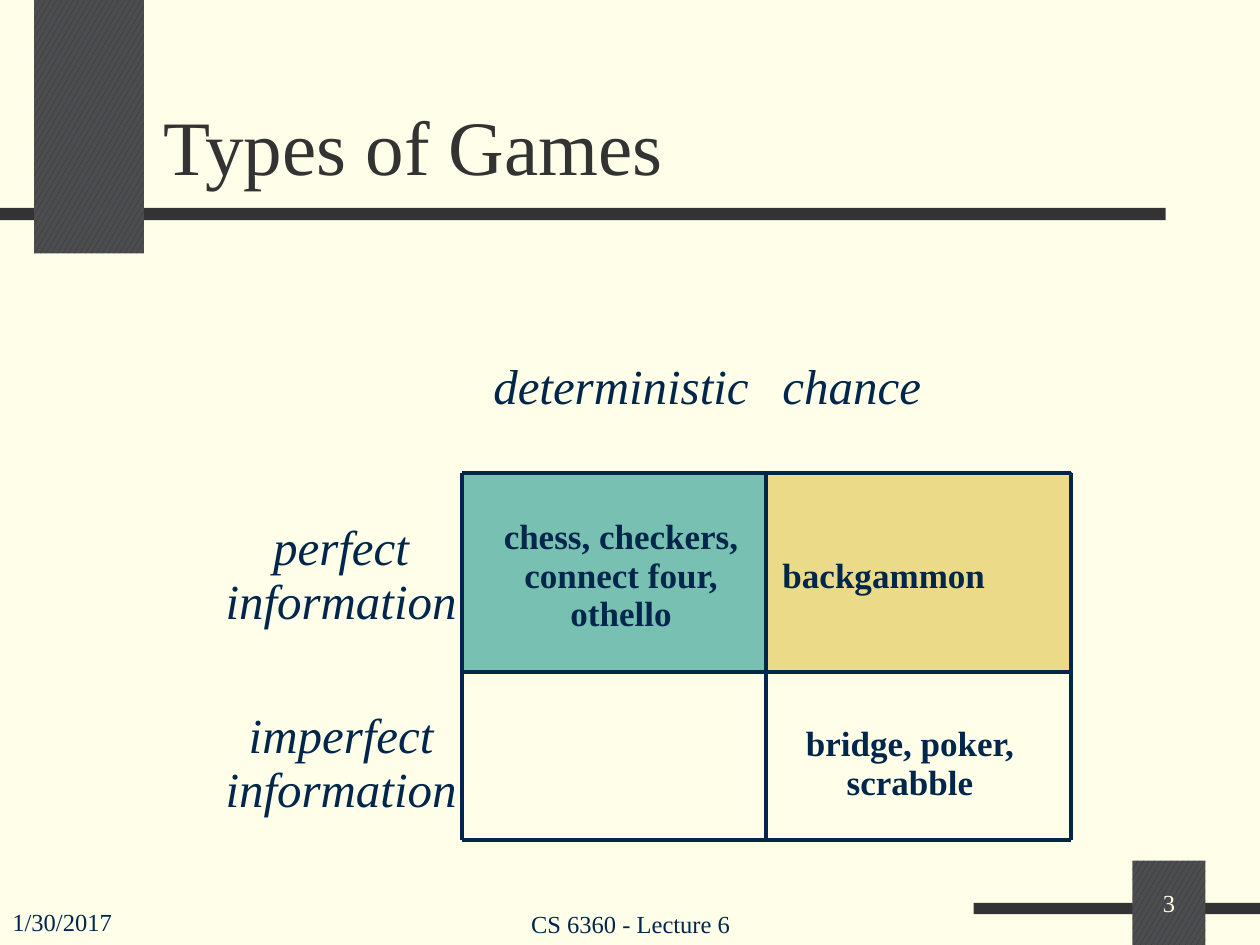
import pptx
import pptx.dml.color
import pptx.enum.dml
import pptx.enum.shapes
import pptx.enum.text
import pptx.oxml.ns
import pptx.util
from pptx.util import Cm

FONT = "Times New Roman"
CREAM, CHARCOAL, NAVY = "FFFFE9", "333333", "00264C"
GRID_X = (9.32, 15.45, 21.59)
GRID_Y = (9.53, 13.55, 16.93)
NO_STYLE_NO_GRID = "{2D5ABB26-0587-4C30-8999-92F81FD0307C}"
ALIGN = pptx.enum.text.PP_ALIGN
ANCHOR = pptx.enum.text.MSO_ANCHOR


def color(value):
    return pptx.dml.color.RGBColor.from_string(value)


def write_text(frame, text, size=14, fill=NAVY, align=ALIGN.LEFT, bold=False, italic=False):
    paragraph = frame.paragraphs[0]
    paragraph.alignment = align
    run = paragraph.add_run()
    run.text = text
    run.font.name = FONT
    run.font.size = pptx.util.Pt(size)
    run.font.color.rgb = color(fill)
    run.font.bold = bold
    run.font.italic = italic


def add_text_box(slide, left, top, width, height, text, **text_format):
    box = slide.shapes.add_textbox(Cm(left), Cm(top), Cm(width), Cm(height))
    box.text_frame.word_wrap = True
    box.text_frame.vertical_anchor = ANCHOR.BOTTOM
    write_text(box.text_frame, text, **text_format)


def add_rectangle(slide, left, top, width, height, fill, outline=None):
    shape = slide.shapes.add_shape(
        pptx.enum.shapes.MSO_SHAPE.RECTANGLE, Cm(left), Cm(top), Cm(width), Cm(height))
    shape.shadow.inherit = False
    shape.fill.solid()
    shape.fill.fore_color.rgb = color(fill)
    if outline:
        shape.line.color.rgb = color(outline)
        shape.line.width = pptx.util.Pt(0.75)
    else:
        shape.line.fill.background()
    return shape


def add_textured_block(slide, left, top, width, height):
    shape = add_rectangle(slide, left, top, width, height, CHARCOAL)
    shape.fill.patterned()
    shape.fill.pattern = pptx.enum.dml.MSO_PATTERN.LARGE_CONFETTI
    shape.fill.fore_color.rgb = color("262D4C")
    shape.fill.back_color.rgb = color("4D4D4D")
    return shape


def add_line(slide, x1, y1, x2, y2):
    line = slide.shapes.add_connector(
        pptx.enum.shapes.MSO_CONNECTOR.STRAIGHT, Cm(x1), Cm(y1), Cm(x2), Cm(y2))
    line.line.color.rgb = color(NAVY)
    line.line.width = pptx.util.Pt(2.25)
    properties = line._element.spPr
    properties.append(properties.makeelement(pptx.oxml.ns.qn("a:effectLst"), {}))


def add_games_table(slide):
    heading = {"size": 28, "italic": True}
    games = {"size": 20, "bold": True}
    centered = {"align": ALIGN.CENTER}
    rows = [
        [None, ("deterministic", heading | centered), ("chance", heading)],
        [("perfect information", heading | centered),
         ("chess, checkers, connect four, othello", games | centered),
         ("backgammon", games)],
        [("imperfect information", heading | centered), None,
         ("bridge, poker, scrabble", games | centered)],
    ]
    widths, row_height = (5.29, 6, 5.65), 3.79
    table = slide.shapes.add_table(
        len(rows), len(widths), Cm(4.23), Cm(5.93),
        Cm(sum(widths)), Cm(row_height * len(rows))).table
    table.first_row = table.horz_banding = False
    table._tbl.tblPr.find(pptx.oxml.ns.qn("a:tableStyleId")).text = NO_STYLE_NO_GRID
    for column, width in zip(table.columns, widths):
        column.width = Cm(width)
    for row_index, row in enumerate(rows):
        table.rows[row_index].height = Cm(row_height)
        for column_index, content in enumerate(row):
            cell = table.cell(row_index, column_index)
            cell.fill.background()
            cell.vertical_anchor = ANCHOR.MIDDLE
            if content:
                text, text_format = content
                write_text(cell.text_frame, text, **text_format)


def add_decoration(slide):
    add_rectangle(slide, 0, 4.19, 23.5, 0.25, CHARCOAL)
    add_textured_block(slide, 0.69, 0, 2.21, 5.11)
    add_rectangle(slide, 19.63, 18.2, 5.77, 0.23, CHARCOAL)
    page_block = add_textured_block(slide, 22.83, 17.35, 1.47, 1.7)
    page_block.text_frame.vertical_anchor = ANCHOR.MIDDLE
    write_text(page_block.text_frame, "3", fill=CREAM, align=ALIGN.CENTER)


def add_grid_fills(slide):
    height = GRID_Y[1] - GRID_Y[0]
    for left, right, fill in zip(GRID_X, GRID_X[1:], ("78C0B2", "EBDB89")):
        add_rectangle(slide, left, GRID_Y[0], right - left, height, fill, NAVY)


def add_grid_lines(slide):
    for y in GRID_Y:
        add_line(slide, GRID_X[0], y, GRID_X[-1], y)
    for x in GRID_X:
        add_line(slide, x, GRID_Y[0], x, GRID_Y[-1])


def main():
    presentation = pptx.Presentation()
    presentation.slide_width, presentation.slide_height = Cm(25.4), Cm(19.05)
    slide = presentation.slides.add_slide(presentation.slide_layouts[6])
    slide.background.fill.solid()
    slide.background.fill.fore_color.rgb = color(CREAM)
    add_decoration(slide)
    add_grid_fills(slide)
    add_text_box(slide, 3.05, 0.79, 21.59, 3.18, "Types of Games", size=44, fill=CHARCOAL)
    add_games_table(slide)
    add_grid_lines(slide)
    add_text_box(slide, 0, 17.73, 5.28, 1.27, "1/30/2017")
    add_text_box(slide, 8.69, 17.78, 8.05, 1.27, "CS 6360 - Lecture 6", align=ALIGN.CENTER)
    presentation.save("out.pptx")


if __name__ == "__main__":
    main()
